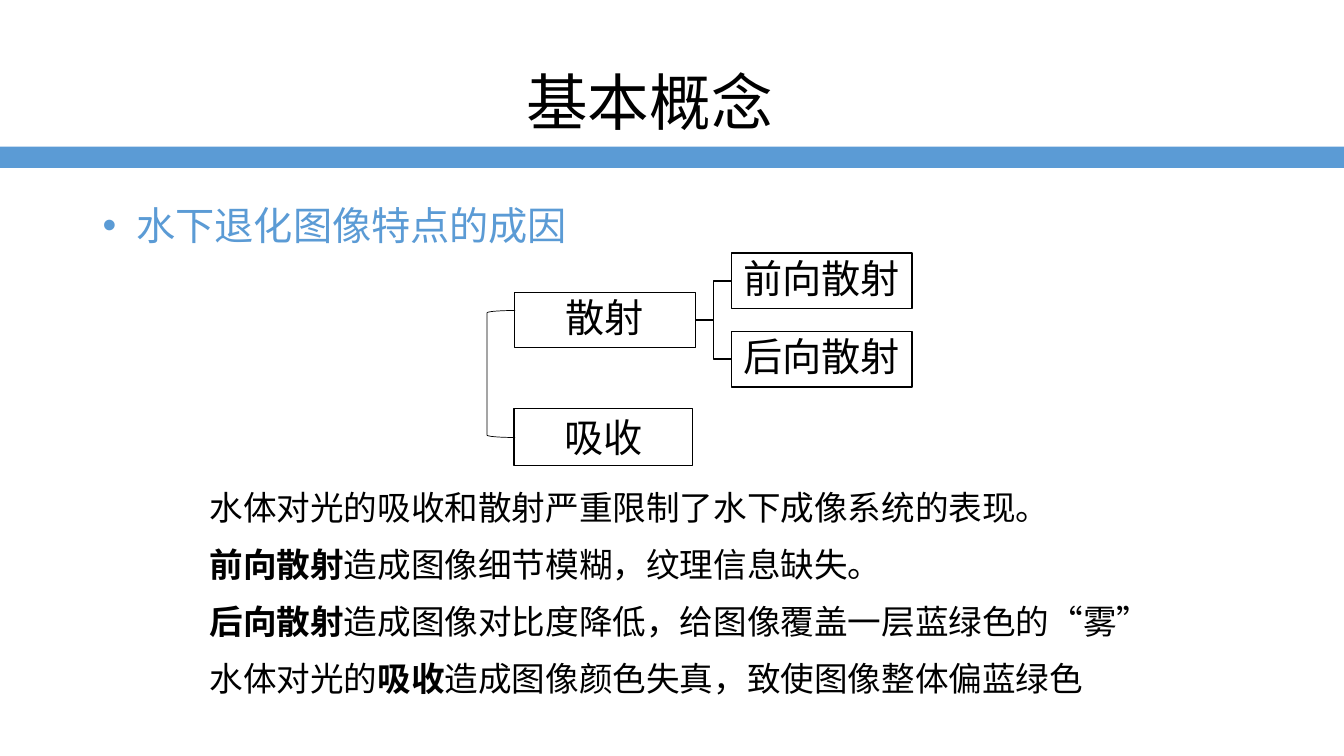
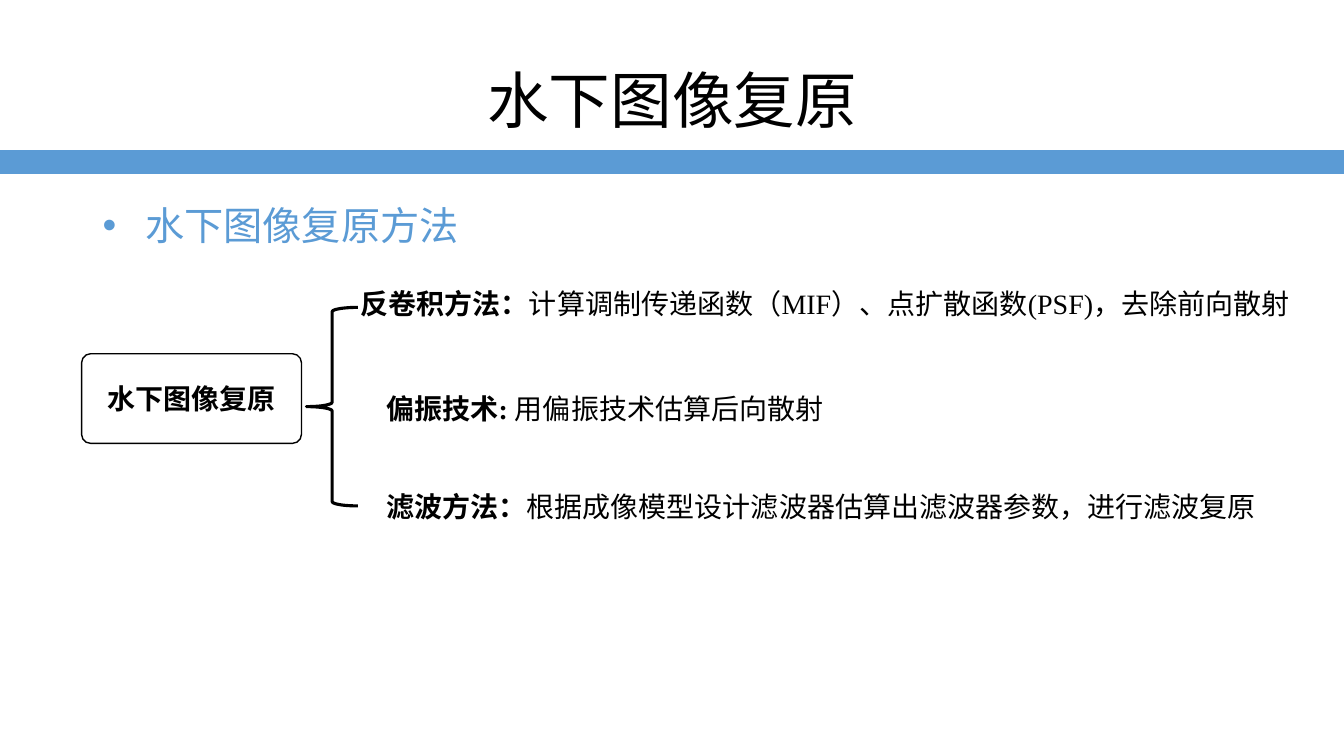
from dataclasses import dataclass

from lxml import etree
from pptx import Presentation
from pptx.dml.color import RGBColor
from pptx.enum.shapes import MSO_CONNECTOR, MSO_SHAPE
from pptx.enum.text import MSO_ANCHOR, MSO_AUTO_SIZE, PP_ALIGN
from pptx.oxml.ns import qn
from pptx.util import Pt

RECT, ROUND = MSO_SHAPE.RECTANGLE, MSO_SHAPE.ROUNDED_RECTANGLE
BRACKET, BRACE = MSO_SHAPE.LEFT_BRACKET, MSO_SHAPE.LEFT_BRACE
ELBOW = MSO_CONNECTOR.ELBOW
TOP, MIDDLE = MSO_ANCHOR.TOP, MSO_ANCHOR.MIDDLE
LEFT, CENTER = PP_ALIGN.LEFT, PP_ALIGN.CENTER
FIXED = MSO_AUTO_SIZE.NONE

BLACK, WHITE, BLUE = "000000", "FFFFFF", "5B9BD5"
SANS, SERIF, ARIAL = "Calibri", "Times New Roman", "Arial"
WIDE, HIGH = 960, 540
RIGHT_SIDE, LEFT_SIDE = 3, 1


@dataclass
class Area:
    x: float
    y: float
    w: float
    h: float


@dataclass
class Look:
    size: float
    font: str = SANS
    color: str = BLACK
    align: PP_ALIGN = LEFT
    anchor: MSO_ANCHOR = TOP
    space: float = 1.0
    after: float = 0
    inset: tuple = (7.2, 3.6)


@dataclass
class Bit:
    text: str
    bold: bool = False
    font: str = ""


@dataclass
class Page:
    title: str
    area: Area
    bar: Area
    head: str
    indent: float


TITLE = Look(44, align=CENTER, anchor=MIDDLE, space=0.9)
HEAD = Look(28, color=BLUE, space=0.9)
NODE = Look(28, align=CENTER, anchor=MIDDLE, space=0.9, inset=(1.4, 1.4))
LEAF = Look(28, align=CENTER, anchor=MIDDLE)
BODY = Look(24, after=12)
ROOT = Look(20, SERIF, align=CENTER, anchor=MIDDLE)
ITEM = Look(20, SERIF, anchor=MIDDLE, inset=(0, 0))


def paint(code: str) -> RGBColor:
    return RGBColor.from_string(code)


def place(shape, area: Area) -> None:
    shape.left, shape.top = Pt(area.x), Pt(area.y)
    shape.width, shape.height = Pt(area.w), Pt(area.h)


def assign(item, values: dict) -> None:
    for key, value in values.items():
        setattr(item, key, value)


def write(shape, lines: list[list[Bit]], look: Look, indent: float = 0) -> None:
    """Fill a shape with paragraphs of formatted runs."""
    frame = shape.text_frame
    side, edge = map(Pt, look.inset)
    assign(frame, {
        "word_wrap": True, "auto_size": FIXED, "vertical_anchor": look.anchor,
        "margin_left": side, "margin_right": side,
        "margin_top": edge, "margin_bottom": edge,
    })
    for num, line in enumerate(lines):
        para = frame.add_paragraph() if num else frame.paragraphs[0]
        if indent:
            bullet(para, indent)
        assign(para, {
            "alignment": look.align, "line_spacing": look.space,
            "space_before": Pt(0), "space_after": Pt(look.after),
        })
        for bit in line:
            run = para.add_run()
            run.text = bit.text
            assign(run.font, {
                "name": bit.font or look.font, "size": Pt(look.size),
                "bold": bit.bold,
            })
            run.font.color.rgb = paint(look.color)


def bullet(para, indent: float) -> None:
    props = para._p.get_or_add_pPr()
    props.set("marL", str(Pt(indent)))
    props.set("indent", str(-Pt(indent)))
    etree.SubElement(props, qn("a:buFont")).set("typeface", ARIAL)
    etree.SubElement(props, qn("a:buChar")).set("char", "•")


def draw(slide, kind: MSO_SHAPE, area: Area, fill: str = "",
         line: str = BLACK, width: float = 1):
    """Add a preset shape; an empty colour means none."""
    shape = slide.shapes.add_shape(kind, 0, 0, 0, 0)
    place(shape, area)
    shape.shadow.inherit = False
    if fill:
        shape.fill.solid()
        shape.fill.fore_color.rgb = paint(fill)
    else:
        shape.fill.background()
    if line:
        shape.line.color.rgb = paint(line)
        shape.line.width = Pt(width)
    else:
        shape.line.fill.background()
    return shape


def label(slide, area: Area, lines: list[list[Bit]], look: Look,
          indent: float = 0) -> None:
    box = slide.shapes.add_textbox(0, 0, 0, 0)
    place(box, area)
    write(box, lines, look, indent)


def node(slide, area: Area, text: str, look: Look):
    shape = draw(slide, RECT, area, WHITE)
    write(shape, [[Bit(text)]], look)
    return shape


def join(slide, start, end) -> None:
    link = slide.shapes.add_connector(ELBOW, 0, 0, 0, 0)
    link.begin_connect(start, RIGHT_SIDE)
    link.end_connect(end, LEFT_SIDE)
    link.line.color.rgb = paint(BLACK)
    link.line.width = Pt(1)
    etree.SubElement(link._element.spPr, qn("a:effectLst"))


def start(deck, page: Page):
    """Make a slide with title, blue bar and heading."""
    slide = deck.slides.add_slide(deck.slide_layouts[5])
    title = slide.shapes.title
    place(title, page.area)
    write(title, [[Bit(page.title)]], TITLE)
    draw(slide, RECT, page.bar, BLUE, "")
    label(slide, Area(66.2, 144, 828, 45), [[Bit(page.head)]], HEAD, page.indent)
    return slide


def causes(deck) -> None:
    slide = start(deck, Page(
        "基本概念", Area(49, 18.7, 830, 113), Area(0, 104.8, WIDE, 15.2),
        "水下退化图像特点的成因", 24.3))

    # Scattering tree
    wide, high, gap = 129, 39.6, 56
    main = node(slide, Area(367.6, 208.8, wide, high), "散射", NODE)
    for num, text in enumerate(["前向散射", "后向散射"]):
        child = node(slide, Area(522.5, 180.8 + num * gap, wide, high), text, NODE)
        join(slide, main, child)

    # Absorption and bracket
    node(slide, Area(367.2, 291.6, 127.4, 41), "吸收", LEAF)
    draw(slide, BRACKET, Area(347.8, 221.8, 20.2, 90.7), width=0.5)

    # Explanation
    label(slide, Area(142.6, 344.2, 737, 160), [
        [Bit("水体对光的吸收和散射严重限制了水下成像系统的表现。", font=ARIAL)],
        [Bit("前向散射", True), Bit("造成图像细节模糊，纹理信息缺失。")],
        [Bit("后向散射", True), Bit("造成图像对比度降低，给图像覆盖一层蓝绿色的“雾”")],
        [Bit("水体对光的"), Bit("吸收", True),
         Bit("造成图像颜色失真，致使图像整体偏蓝绿色")],
    ], BODY)


def methods(deck) -> None:
    slide = start(deck, Page(
        "水下图像复原", Area(66.2, 15.1, 828, 118), Area(0, 107.2, WIDE, 17),
        "水下图像复原方法", 30.6))

    # Root and brace
    root = draw(slide, ROUND, Area(58.3, 252.7, 157, 64), WHITE)
    root.adjustments[0] = 0.1
    write(root, [[Bit("水下图像复原", True)]], ROOT)
    draw(slide, BRACE, Area(218.9, 219.6, 36.7, 141.8), width=2.25)

    # Method rows
    rows = [
        (257.6, 216.5, "反卷积方法：",
         "计算调制传递函数（MIF）、点扩散函数(PSF)，去除前向散射"),
        (276, 291.5, "偏振技术: ", "用偏振技术估算后向散射"),
        (276, 361.5, "滤波方法：", "根据成像模型设计滤波器估算出滤波器参数，进行滤波复原"),
    ]
    for x, mid, name, text in rows:
        label(slide, Area(x, mid - 18, WIDE - x, 36),
              [[Bit(name, True), Bit(text)]], ITEM)


def main() -> None:
    deck = Presentation()
    deck.slide_width, deck.slide_height = Pt(WIDE), Pt(HIGH)
    causes(deck)
    methods(deck)
    deck.save("out.pptx")


if __name__ == "__main__":
    main()
